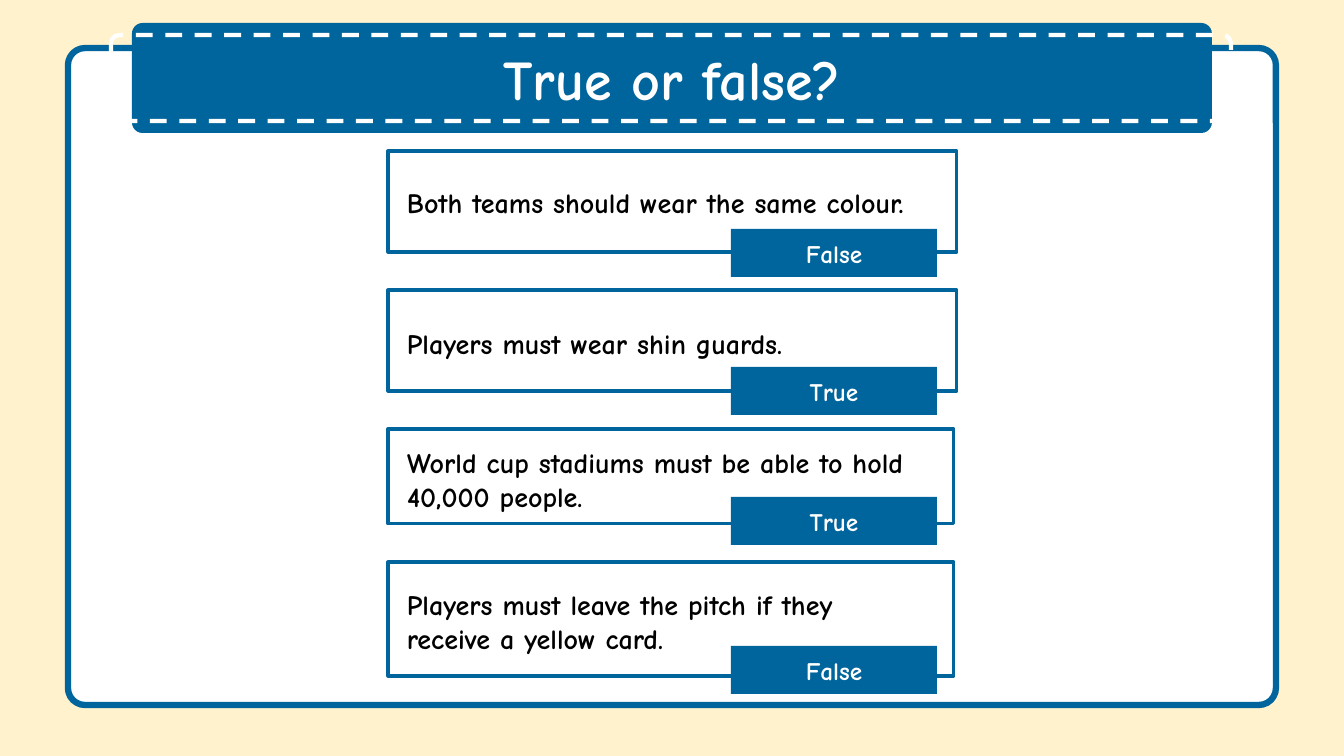
"""Build a true-or-false quiz slide with four statements and their answers."""
from typing import NamedTuple

from pptx import Presentation
from pptx.dml.color import RGBColor
from pptx.enum.dml import MSO_LINE
from pptx.enum.shapes import MSO_SHAPE
from pptx.enum.text import MSO_ANCHOR, PP_ALIGN
from pptx.shapes.autoshape import Shape
from pptx.shapes.shapetree import GroupShapes, SlideShapes
from pptx.util import Emu, Pt

CREAM = RGBColor(0xFF, 0xF2, 0xCC)
BLUE = RGBColor(0x00, 0x65, 0x9C)
WHITE = RGBColor(0xFF, 0xFF, 0xFF)
BLACK = RGBColor(0x00, 0x00, 0x00)
FONT = "Comic Neue"
EMU_PER_PX = 914400 / 100.8
CARD_LEFT, TEXT_LEFT = 388, 407
ANSWER_LEFT, ANSWER_WIDTH, ANSWER_HEIGHT = 731, 206, 48


class Area(NamedTuple):
    """A rectangle in px."""

    left: int
    top: int
    width: int
    height: int


class Statement(NamedTuple):
    """A quiz statement with its card, text and answer positions in px."""

    text: str
    answer: str
    card: Area
    label: Area
    answer_top: int


STATEMENTS = [
    Statement("Both teams should wear the same colour.", "False",
              Area(CARD_LEFT, 151, 569, 101), Area(TEXT_LEFT, 168, 529, 68), 229),
    Statement("Players must wear shin guards.", "True",
              Area(CARD_LEFT, 290, 569, 101), Area(TEXT_LEFT, 326, 457, 34), 367),
    Statement("World cup stadiums must be able to hold 40,000 people.", "True",
              Area(CARD_LEFT, 429, 566, 95), Area(TEXT_LEFT, 445, 520, 68), 497),
    Statement("Players must leave the pitch if they receive a yellow card.", "False",
              Area(CARD_LEFT, 562, 566, 114), Area(TEXT_LEFT, 587, 509, 68), 646),
]


def px(length: int) -> Emu:
    """Turn px into EMU."""
    return Emu(round(length * EMU_PER_PX))


def add_box(shapes: SlideShapes | GroupShapes, area: Area, fill: RGBColor | None = None,
            line: RGBColor | None = None, weight: float = 0, corner: float = 0) -> Shape:
    """Draw a rectangle, rounded when a corner ratio is given."""
    kind = MSO_SHAPE.ROUNDED_RECTANGLE if corner else MSO_SHAPE.RECTANGLE
    box = shapes.add_shape(kind, *map(px, area))
    box.shadow.inherit = False
    if corner:
        box.adjustments[0] = corner
    if fill is None:
        box.fill.background()
    else:
        box.fill.solid()
        box.fill.fore_color.rgb = fill
    if line is None:
        box.line.fill.background()
    else:
        box.line.color.rgb = line
        box.line.width = Pt(weight)
    return box


def write(box: Shape, text: str, size: int, color: RGBColor, align: PP_ALIGN,
          insets: Area | None = None, spacing: float | None = None) -> None:
    """Write one bold paragraph, vertically centred, in a shape."""
    frame = box.text_frame
    frame.word_wrap = True
    frame.vertical_anchor = MSO_ANCHOR.MIDDLE
    if insets is not None:
        (frame.margin_left, frame.margin_top,
         frame.margin_right, frame.margin_bottom) = map(px, insets)
    para = frame.paragraphs[0]
    para.alignment = align
    if spacing:
        para.line_spacing = spacing
    span = para.add_run()
    span.text = text
    span.font.name = FONT
    span.font.size = Pt(size)
    span.font.bold = True
    span.font.color.rgb = color


def add_statement(shapes: SlideShapes, statement: Statement) -> None:
    """Draw a statement card and its answer tag."""
    group = shapes.add_group_shape()
    add_box(group.shapes, statement.card, WHITE, BLUE, 2.25)
    label = group.shapes.add_textbox(*map(px, statement.label))
    write(label, statement.text, 20, BLACK, PP_ALIGN.LEFT, Area(0, 0, 0, 0))
    tag = add_box(shapes, Area(ANSWER_LEFT, statement.answer_top, ANSWER_WIDTH, ANSWER_HEIGHT), BLUE)
    write(tag, statement.answer, 18, WHITE, PP_ALIGN.CENTER)


def main() -> None:
    """Build and save the deck."""
    deck = Presentation()
    deck.slide_width, deck.slide_height = px(1344), px(756)
    page = deck.slides.add_slide(deck.slide_layouts[6])
    page.background.fill.solid()
    page.background.fill.fore_color.rgb = CREAM
    add_box(page.shapes, Area(68, 48, 1208, 657), WHITE, BLUE, 4.5, 0.026)
    banner = add_box(page.shapes, Area(132, 23, 1080, 110), BLUE, corner=0.096)
    write(banner, "True or false?", 40, WHITE, PP_ALIGN.CENTER, Area(28, 28, 28, 20), 0.9)
    stitching = add_box(page.shapes, Area(111, 35, 1120, 86), line=WHITE, weight=3, corner=0.096)
    stitching.line.dash_style = MSO_LINE.DASH
    for statement in STATEMENTS:
        add_statement(page.shapes, statement)
    deck.save("out.pptx")


if __name__ == "__main__":
    main()
